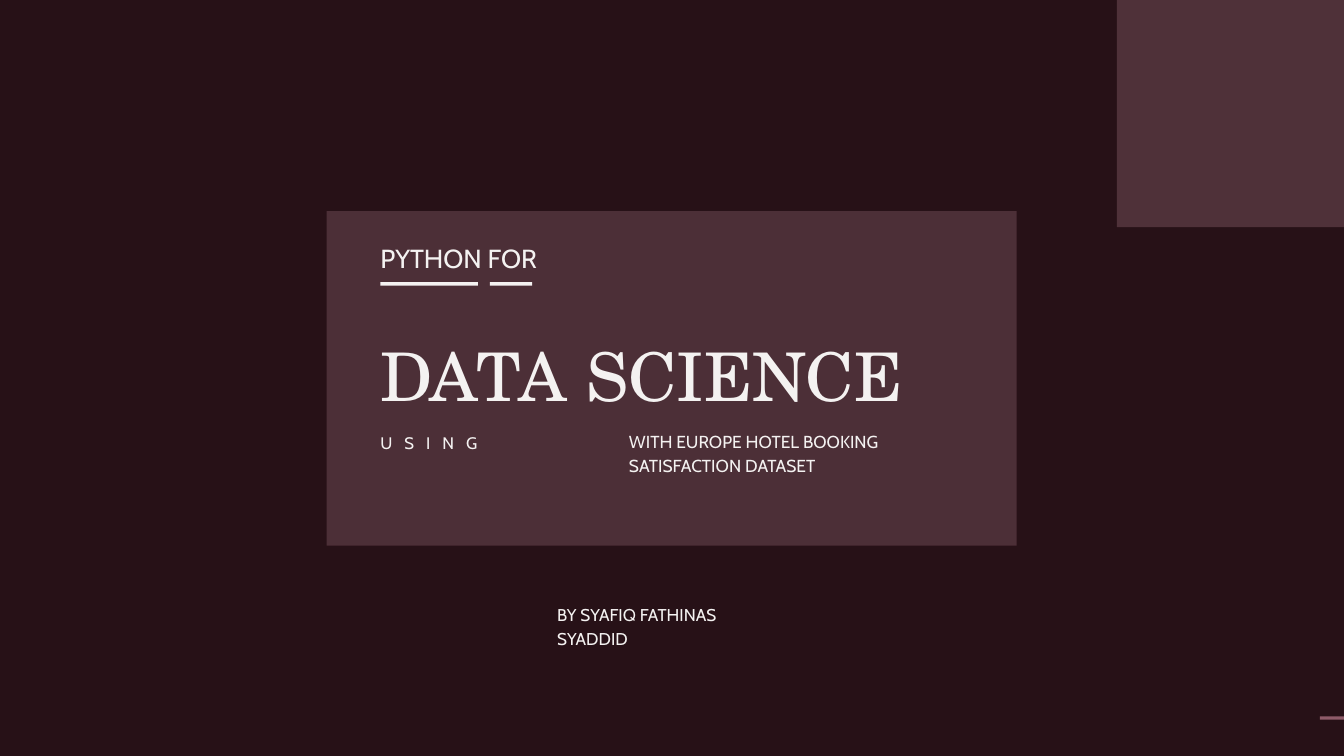
from dataclasses import dataclass

from lxml import etree
from pptx import Presentation
from pptx.dml.color import RGBColor
from pptx.enum import shapes, text
from pptx.oxml.ns import qn
from pptx.util import Inches, Pt


@dataclass(frozen=True)
class Theme:
    background: str = "271117"
    panel: str = "4F3139"
    light: str = "F4F2F1"
    accent: str = "8F5B69"
    title_font: str = "TeX Gyre Schola"
    body_font: str = "Cabin"
    title: float = 71.9
    heading: float = 28
    dataset: float = 18.6
    author: float = 18.3
    using: float = 17.9


@dataclass(frozen=True)
class Block:
    left: float
    top: float
    width: float
    height: float
    color: str
    opacity: int = 100


@dataclass(frozen=True)
class Label:
    words: str
    left: float
    top: float
    width: float
    height: float
    size: float
    leading: float
    font: str
    align: text.PP_ALIGN = text.PP_ALIGN.LEFT
    tracking: float = 0


THEME = Theme()
SLIDE_W, SLIDE_H = 20, 11.25
MARGIN = 5.66  # left edge shared by the panel's content
CORNER = 3.38
RULE_TOP, RULE_H = 4.2, 0.05

BLOCKS = [
    Block(SLIDE_W - CORNER, 0, CORNER, CORNER, THEME.panel),
    Block(4.86, 3.14, 10.27, 4.98, THEME.panel, opacity=95),
    # Underlines of the heading
    Block(MARGIN, RULE_TOP, 1.45, RULE_H, THEME.light),
    Block(7.29, RULE_TOP, 0.63, RULE_H, THEME.light),
    # Dash at the slide's edge
    Block(SLIDE_W - 0.36, 10.66, 0.36, RULE_H, THEME.accent),
]

LABELS = [
    Label("DATA SCIENCE", MARGIN, 4.78, 8.56, 1.34,
          THEME.title, 100.6, THEME.title_font),
    Label("BY SYAFIQ FATHINAS SYADDID", 8.29, 8.95, 3.43, 0.34,
          THEME.author, 25.6, THEME.body_font),
    Label("USING", MARGIN, 6.39, 3.29, 0.34,
          THEME.using, 25.1, THEME.body_font, text.PP_ALIGN.JUSTIFY, 12.9),
    Label("PYTHON FOR", MARGIN, 3.53, 6.58, 0.52,
          THEME.heading, 39.2, THEME.body_font),
    Label("WITH EUROPE HOTEL BOOKING SATISFACTION DATASET", 9.36, 6.36, 3.89, 0.7,
          THEME.dataset, 26, THEME.body_font),
]


def add_block(s, block: Block) -> None:
    sp = s.shapes.add_shape(
        shapes.MSO_SHAPE.RECTANGLE, Inches(block.left), Inches(block.top),
        Inches(block.width), Inches(block.height))
    sp.shadow.inherit = False
    sp.line.fill.background()
    sp.fill.solid()
    sp.fill.fore_color.rgb = RGBColor.from_string(block.color)
    if block.opacity < 100:
        color = sp.fill._xPr.find(qn("a:solidFill"))[0]
        etree.SubElement(color, qn("a:alpha")).set("val", str(block.opacity * 1000))


def add_label(s, label: Label) -> None:
    sp = s.shapes.add_textbox(
        Inches(label.left), Inches(label.top), Inches(label.width), Inches(label.height))
    tf = sp.text_frame
    tf.margin_left = tf.margin_top = tf.margin_right = tf.margin_bottom = 0
    tf.word_wrap = True
    tf.auto_size = text.MSO_AUTO_SIZE.SHAPE_TO_FIT_TEXT
    tf.text = label.words
    p = tf.paragraphs[0]
    p.alignment = label.align
    p.line_spacing = Pt(label.leading)
    r = p.runs[0]
    r.font.name = label.font
    r.font.size = Pt(label.size)
    r.font.color.rgb = RGBColor.from_string(THEME.light)
    if label.tracking:
        r.font._element.set("spc", str(round(label.tracking * 100)))


def main() -> None:
    prs = Presentation()
    prs.slide_width, prs.slide_height = Inches(SLIDE_W), Inches(SLIDE_H)
    s = prs.slides.add_slide(prs.slide_layouts[6])

    # Background
    s.background.fill.solid()
    s.background.fill.fore_color.rgb = RGBColor.from_string(THEME.background)

    # Panels and rules, then the text over them
    for block in BLOCKS:
        add_block(s, block)
    for label in LABELS:
        add_label(s, label)

    prs.save("out.pptx")


if __name__ == "__main__":
    main()
